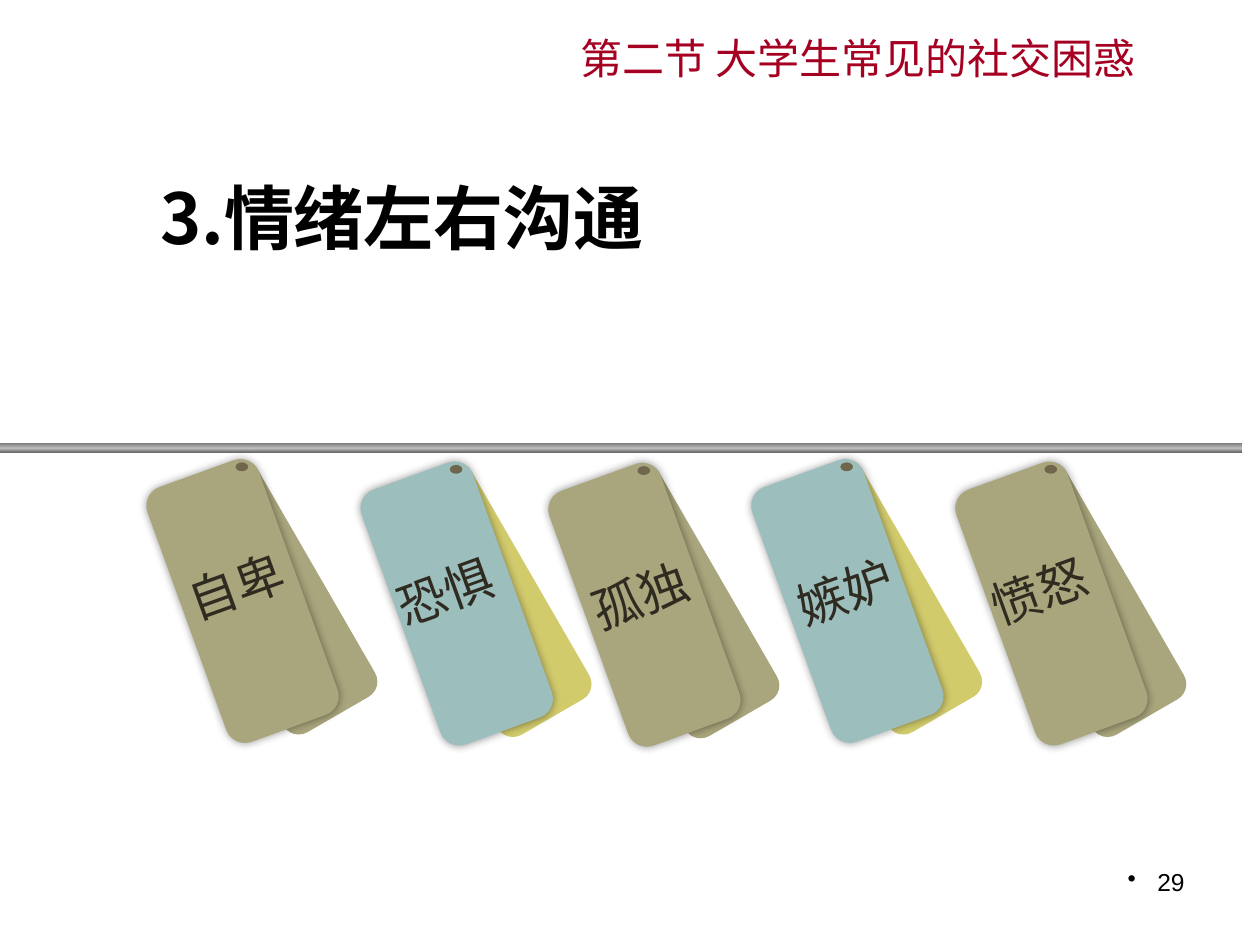
from typing import NamedTuple

from lxml.etree import SubElement
from pptx import Presentation
from pptx.dml.color import RGBColor
from pptx.enum.shapes import MSO_SHAPE as Shape
from pptx.enum.text import MSO_ANCHOR as Anchor, MSO_AUTO_SIZE as AutoSize, PP_ALIGN as Align
from pptx.oxml import parse_xml
from pptx.oxml.ns import nsdecls, qn
from pptx.util import Inches, Pt

SANS_SC = "Noto Sans CJK SC"
SANS_JP = "Noto Sans CJK JP"
OLIVE, TEAL, YELLOW = "A9A57C", "9CBEBD", "D2CB6C"


class Rect(NamedTuple):
    left: float
    top: float
    width: float
    height: float

    def lengths(self):
        return [Inches(value) for value in self]


class Tag(NamedTuple):
    word: str
    front: str
    back: str
    hole: tuple[float, float]
    label: tuple[float, float]
    align: Align = Align.CENTER
    spacing: float = 1.1


TAGS = [
    Tag("自卑", OLIVE, OLIVE, (1.87, 3.67), (1.59, 4.39), spacing=1.0),
    Tag("恐惧", TEAL, YELLOW, (3.57, 3.69), (3.23, 4.39)),
    Tag("孤独", OLIVE, OLIVE, (5.06, 3.7), (4.78, 4.42)),
    Tag("嫉妒", TEAL, YELLOW, (6.67, 3.67), (6.41, 4.39)),
    Tag("愤怒", OLIVE, OLIVE, (8.29, 3.69), (8.01, 4.41), Align.LEFT, 1.0),
]


def colour(hex_value: str) -> RGBColor:
    return RGBColor.from_string(hex_value)


def write(box, text: str, size: float, font: str, ink: str, align: Align,
          bold: bool = False, spacing: float = 1.0, bullet: str = "") -> None:
    frame = box.text_frame
    frame.word_wrap = True
    para = frame.paragraphs[0]
    para.text = text
    para.alignment = align
    para.line_spacing = spacing
    if bullet:
        SubElement(para._p.get_or_add_pPr(), qn("a:buChar"), char=bullet)
    para.font.size = Pt(size)
    para.font.bold = bold
    para.font.color.rgb = colour(ink)
    para.font.name = font
    SubElement(para._p.pPr.find(qn("a:defRPr")), qn("a:ea"), typeface=font)


def add_solid(shapes, kind: Shape, rect: Rect, fill: str, rotation: float = 0):
    shape = shapes.add_shape(kind, *rect.lengths())
    shape.rotation = rotation
    shape.shadow.inherit = False
    shape.fill.solid()
    shape.fill.fore_color.rgb = colour(fill)
    shape.line.fill.background()
    return shape


def add_glow_shadow(shape) -> None:
    effects = shape._element.spPr.find(qn("a:effectLst"))
    effects.append(parse_xml(
        f'<a:outerShdw {nsdecls("a")} blurRad="{Pt(5)}" dist="0" dir="0" rotWithShape="0">'
        '<a:srgbClr val="000000"><a:alpha val="40000"/></a:srgbClr></a:outerShdw>'))


def add_tag(page, tag: Tag) -> None:
    shapes = page.shapes.add_group_shape().shapes
    x, y = tag.hole
    add_solid(shapes, Shape.ROUNDED_RECTANGLE,
              Rect(x - 0.8, y + 0.65, 2.15, 0.84), tag.back, 60)
    front = add_solid(shapes, Shape.ROUNDED_RECTANGLE,
                      Rect(x - 1.02, y + 0.63, 2.15, 0.94), tag.front, 70.1)
    add_glow_shadow(front)
    add_solid(shapes, Shape.OVAL, Rect(x, y, 0.1, 0.07), "6F664C")
    label = shapes.add_textbox(*Rect(*tag.label, 0.87, 1.37).lengths())
    label.rotation = 340.2
    frame = label.text_frame
    frame.margin_left = frame.margin_right = frame.margin_top = frame.margin_bottom = 0
    write(label, tag.word, 28, SANS_JP, "2F2B20", tag.align, spacing=tag.spacing)


def add_rail(page) -> None:
    rail = add_solid(page.shapes, Shape.ROUNDED_RECTANGLE,
                     Rect(-0.16, 3.52, 10.02, 0.07), "808080")
    rail.adjustments[0] = 0
    stops = "".join(
        f'<a:gs pos="{position * 1000}"><a:srgbClr val="{shade}"/></a:gs>'
        for position, shade in [(0, "808080"), (55, "BFBFBF"), (100, "6B6B6B")])
    properties = rail._element.spPr
    properties.replace(properties.find(qn("a:solidFill")), parse_xml(
        f'<a:gradFill {nsdecls("a")} rotWithShape="1"><a:gsLst>{stops}</a:gsLst>'
        '<a:lin ang="5400000" scaled="0"/></a:gradFill>'))


def main() -> None:
    deck = Presentation()
    deck.slide_width, deck.slide_height = Inches(10), Inches(7.5)
    page = deck.slides.add_slide(deck.slide_layouts[5])

    title = page.shapes.title
    title.left, title.top, title.width, title.height = Rect(1.17, 1.09, 8.99, 1.25).lengths()
    title.text_frame.vertical_anchor = Anchor.MIDDLE
    write(title, "3.情绪左右沟通", 40, SANS_SC, "000000", Align.LEFT, bold=True)

    number = page.shapes.add_textbox(*Rect(7.17, 6.83, 2.33, 0.52).lengths())
    write(number, "29", 14, "Arial", "000000", Align.RIGHT, bullet="•")

    for tag in TAGS:
        add_tag(page, tag)
    add_rail(page)

    section = page.shapes.add_textbox(*Rect(3.36, 0.01, 5.75, 0.71).lengths())
    section.text_frame.auto_size = AutoSize.SHAPE_TO_FIT_TEXT
    write(section, "第二节 大学生常见的社交困惑", 24, SANS_SC, "A50021", Align.RIGHT, spacing=1.5)

    deck.save("out.pptx")


if __name__ == "__main__":
    main()
